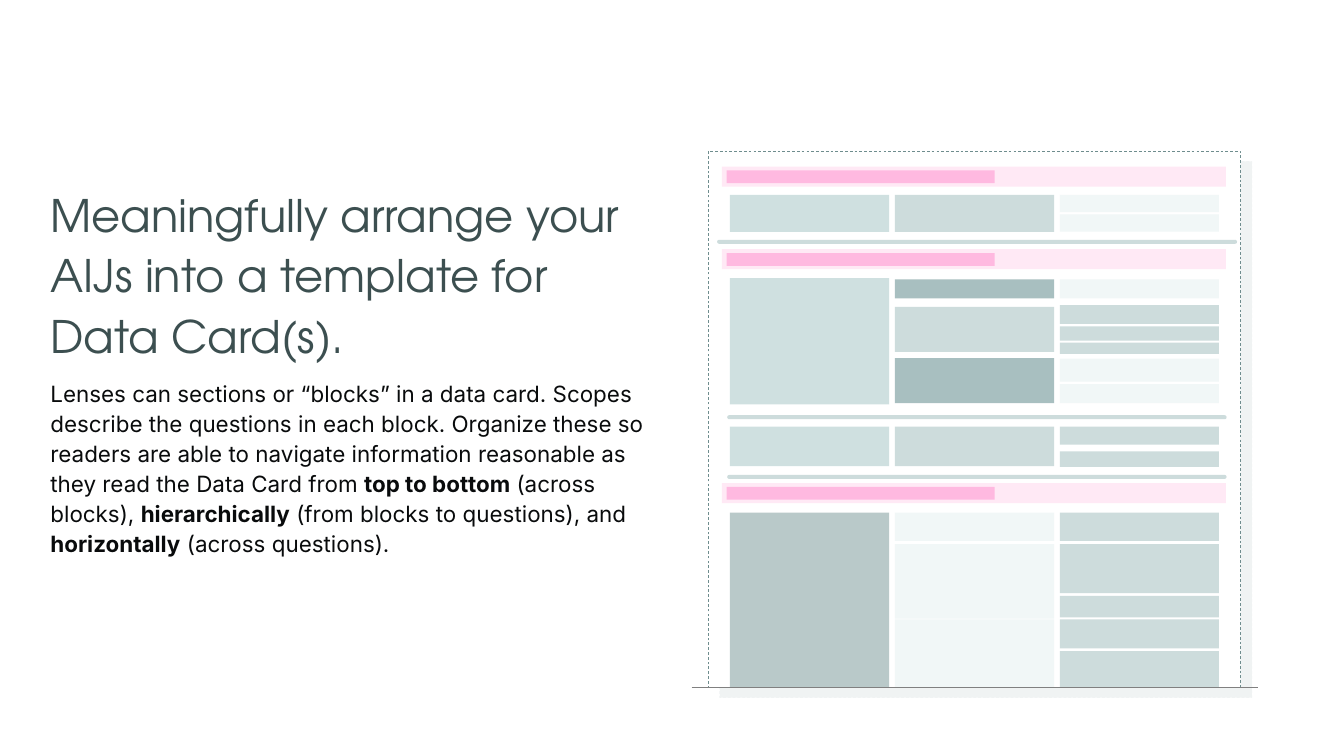
from lxml.etree import SubElement
from pptx import Presentation
from pptx.dml.color import RGBColor
from pptx.enum.dml import MSO_LINE
from pptx.enum.shapes import MSO_CONNECTOR, MSO_SHAPE
from pptx.enum.text import MSO_ANCHOR
from pptx.oxml.ns import qn
from pptx.util import Pt

PALE, MIST, SAGE, MOSS, STONE = "F1F7F7", "CFE0E0", "CDDCDC", "A8BFC0", "B9C9C9"
BLUSH, PINK = "FFE9F5", "FFB9E0"

COLUMN_LEFT, COLUMN_STEP, COLUMN_WIDTH = 23, 176.75, 170.6
HEADER_TOPS = [16.5, 105, 355.7]
DIVIDERS = [(9.4, 95, 557), (20.2, 283, 535), (20.2, 347, 535)]
BLOCKS = [
    [
        (46.8, 39.6, MIST),
        (136.1, 135.4, MIST),
        (295.2, 42.5, MIST),
        (387.4, 187.2, STONE),
    ],
    [
        (46.8, 39.6, SAGE),
        (137.5, 20.2, MOSS),
        (167, 48.2, SAGE),
        (221.8, 48.2, MOSS),
        (295.2, 42.5, SAGE),
        (387.4, 30.2, PALE),
        (421.2, 79.9, PALE),
        (501.8, 73.4, PALE),
    ],
    [
        (46.8, 18.7, PALE),
        (67.7, 18.7, PALE),
        (137.5, 20.2, PALE),
        (164.9, 20.2, SAGE),
        (187.9, 15.1, SAGE),
        (205.2, 12.2, SAGE),
        (222.5, 24.5, PALE),
        (249.8, 20.2, PALE),
        (295.2, 19.4, SAGE),
        (321.8, 16.6, SAGE),
        (387.4, 30.2, SAGE),
        (421.2, 52.5, SAGE),
        (476.6, 23, SAGE),
        (501.8, 31, SAGE),
        (535.7, 39.2, SAGE),
    ],
]
EXPLANATION = [
    ("Lenses can sections or “blocks” in a data card. Scopes describe the questions "
     "in each block. Organize these so readers are able to navigate information "
     "reasonable as they read the Data Card from ", False),
    ("top to bottom", True),
    (" (across blocks), ", False),
    ("hierarchically", True),
    (" (from blocks to questions), and ", False),
    ("horizontally", True),
    (" (across questions).", False),
]


def color(value):
    return RGBColor.from_string(value)


def add_block(page, left, top, width, height, fill, kind=MSO_SHAPE.RECTANGLE):
    block = page.shapes.add_shape(kind, Pt(left), Pt(top), Pt(width), Pt(height))
    block.shadow.inherit = False
    block.fill.solid()
    block.fill.fore_color.rgb = color(fill)
    block.line.fill.background()
    return block


def add_span(para, text, font, size, ink, bold=False):
    span = para.add_run()
    span.text = text
    span.font.name = font
    span.font.size = Pt(size)
    span.font.bold = bold
    span.font.color.rgb = color(ink)


def add_message(page, left, top, width, height):
    box = page.shapes.add_textbox(Pt(left), Pt(top), Pt(width), Pt(height))
    frame = box.text_frame
    frame.word_wrap = True
    frame.vertical_anchor = MSO_ANCHOR.MIDDLE
    frame.margin_left = frame.margin_top = frame.margin_right = frame.margin_bottom = 0
    heading = frame.paragraphs[0]
    add_span(heading, "Meaningfully arrange your AIJs into a template for Data Card(s).",
             "TeX Gyre Adventor", 48, "3C4F50")
    body = frame.add_paragraph()
    body.space_before = body.space_after = Pt(16)
    for text, bold in EXPLANATION:
        add_span(body, text, "Inter", 24, "090B0C", bold)
    for para in frame.paragraphs:
        para.line_spacing = 1.12


def add_paper(page, left, top, width, height):
    paper = add_block(page, left, top, width, height, "FFFFFF")
    paper.line.color.rgb = color("6F8D8E")
    paper.line.width = Pt(0.75)
    paper.line.dash_style = MSO_LINE.DASH
    effects = paper._element.spPr.find(qn("a:effectLst"))
    shadow = SubElement(effects, qn("a:outerShdw"), dist=str(Pt(16.5)),
                        dir=str(42 * 60000), algn="bl", rotWithShape="0")
    tint = SubElement(shadow, qn("a:srgbClr"), val="6F8D8E")
    SubElement(tint, qn("a:alpha"), val="10000")


def add_baseline(page, left, top, width):
    line = page.shapes.add_connector(
        MSO_CONNECTOR.STRAIGHT, Pt(left), Pt(top), Pt(left + width), Pt(top))
    line.line.color.rgb = color("808080")
    line.line.width = Pt(0.75)
    SubElement(line._element.spPr, qn("a:effectLst"))


def add_data_card(page, left, top, width, height):
    add_paper(page, left, top, width, height)
    for offset in HEADER_TOPS:
        add_block(page, left + 14.4, top + offset, 540, 21.5, BLUSH)
        add_block(page, left + 19.4, top + offset + 4.2, 287.3, 13.7, PINK)
    for inset, offset, length in DIVIDERS:
        divider = add_block(page, left + inset, top + offset, length, 4.3, SAGE,
                            MSO_SHAPE.ROUNDED_RECTANGLE)
        divider.adjustments[0] = 0.5
    for column, blocks in enumerate(BLOCKS):
        column_left = left + COLUMN_LEFT + column * COLUMN_STEP
        for offset, block_height, fill in blocks:
            add_block(page, column_left, top + offset, COLUMN_WIDTH, block_height, fill)
    add_baseline(page, left - 18, top + height + 0.5, width + 37)


def main():
    deck = Presentation()
    deck.slide_width, deck.slide_height = Pt(1440), Pt(792)
    page = deck.slides.add_slide(deck.slide_layouts[6])
    add_message(page, 54, 54, 659.5, 684)
    add_data_card(page, 759, 162, 570, 574.6)
    deck.save("out.pptx")


if __name__ == "__main__":
    main()
